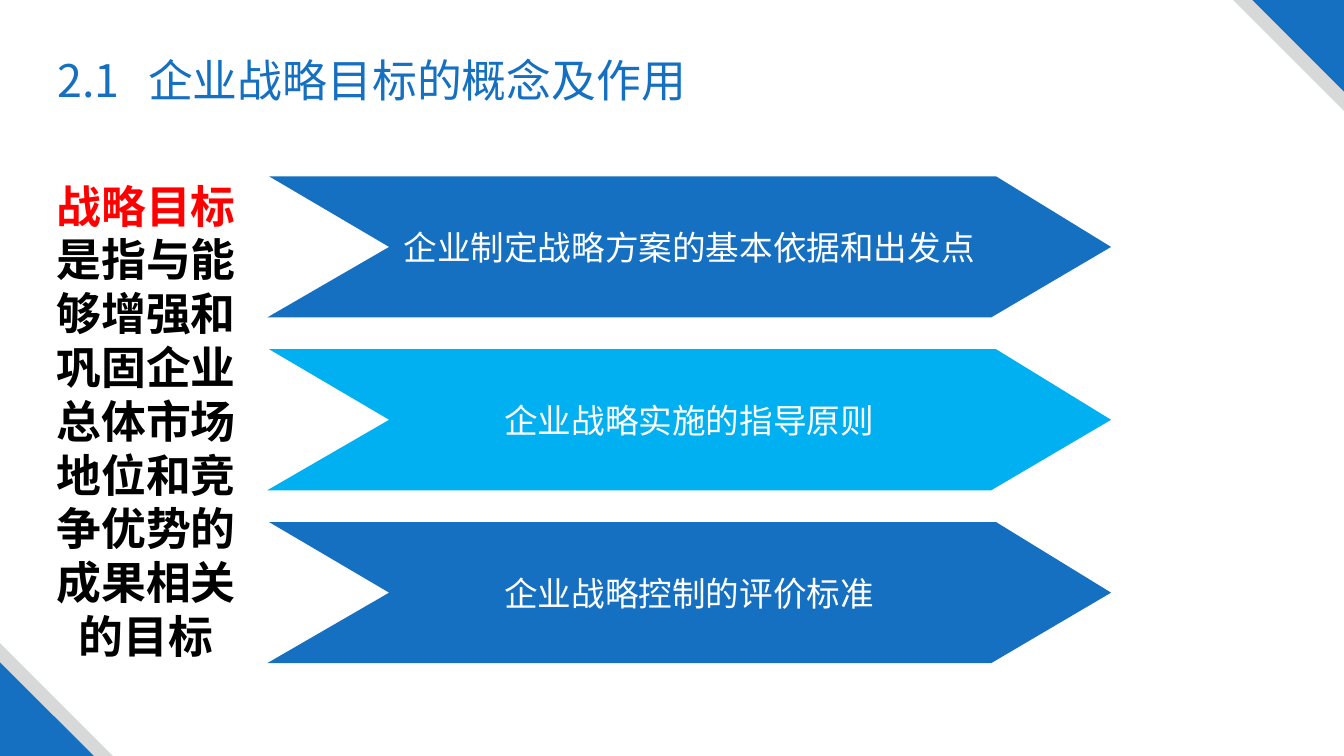
from pptx import Presentation
from pptx.dml.color import RGBColor
from pptx.enum.shapes import MSO_SHAPE
from pptx.enum.text import MSO_ANCHOR, PP_ALIGN
from pptx.oxml import parse_xml
from pptx.oxml.ns import nsdecls
from pptx.util import Inches, Pt

BLUE = RGBColor(0x15, 0x70, 0xC1)
CYAN = RGBColor(0x00, 0xB0, 0xF0)
GREY = RGBColor(0xD7, 0xD8, 0xD8)
RED = RGBColor(0xFF, 0, 0)
BLACK = RGBColor(0, 0, 0)
WHITE = RGBColor(0xFF, 0xFF, 0xFF)
SANS, LATIN = "Noto Sans CJK SC", "Calibri"
WIDE, HIGH = 13.33, 7.5

TITLE = "2.1\t企业战略目标的概念及作用"
CONCEPT = [
    ("战略目标", RED),
    ("是指与能够增强和巩固企业总体市场地位和竞争优势的成果相关的目标", BLACK),
]
ROLES = [
    ("企业制定战略方案的基本依据和出发点", BLUE),
    ("企业战略实施的指导原则", CYAN),
    ("企业战略控制的评价标准", BLUE),
]
# Colour, side at the top right, side at the bottom left
CORNERS = [(GREY, 1.1, 1.12), (BLUE, 0.91, 0.93)]

LEFT, TOP, PITCH = 2.65, 1.75, 1.715
ARROW = [(0.02, 0), (1.21, 0.7), (0, 1.4), (7.18, 1.4), (8.37, 0.7), (7.23, 0)]


def paint(shape, color):
    shape.shadow.inherit = False
    shape.fill.solid()
    shape.fill.fore_color.rgb = color
    shape.line.fill.background()


def write(para, text, face, color, **form):
    run = para.add_run()
    run.text = text
    for key, value in form.items():
        setattr(run.font, key, value)
    run.font.name = face
    run.font.color.rgb = color
    # East Asian glyphs take their line height from this face
    run.font.fill  # keeps the fill ahead of the typefaces
    latin = run.font._element.find("{*}latin")
    latin.addnext(parse_xml(f'<a:ea {nsdecls("a")} typeface="{face}"/>'))


def add_box(slide, *area):
    frame = slide.shapes.add_textbox(*map(Inches, area)).text_frame
    frame.word_wrap = True
    return frame.paragraphs[0]


def add_corner(slide, left, top, side, color, turn):
    shape = slide.shapes.add_shape(
        MSO_SHAPE.RIGHT_TRIANGLE, *map(Inches, (left, top, side, side)))
    shape.rotation = turn
    paint(shape, color)


def add_arrow(slide, row, text, color):
    top = TOP + row * PITCH
    start, *rest = [(Inches(LEFT + x), Inches(top + y)) for x, y in ARROW]
    form = slide.shapes.build_freeform(*start)
    form.add_line_segments(rest, close=True)
    shape = form.convert_to_shape()
    paint(shape, color)
    frame = shape.text_frame
    frame.word_wrap = True
    frame.vertical_anchor = MSO_ANCHOR.MIDDLE
    for side in ("left", "top", "right", "bottom"):
        setattr(frame, f"margin_{side}", 0)
    para = frame.paragraphs[0]
    para.alignment = PP_ALIGN.CENTER
    write(para, text, SANS, WHITE, size=Pt(24))


def main():
    deck = Presentation()
    deck.slide_width, deck.slide_height = Inches(WIDE), Inches(HIGH)
    slide = deck.slides.add_slide(deck.slide_layouts[6])

    for color, upper, lower in CORNERS:
        add_corner(slide, WIDE - upper, 0, upper, color, 180)
        add_corner(slide, 0, HIGH - lower, lower, color, 0)

    title = add_box(slide, 0.47, 0.47, 8.41, 0.64)
    title._p.get_or_add_pPr().append(parse_xml(
        f'<a:tabLst {nsdecls("a")}><a:tab pos="{Inches(0.9)}" algn="l"/></a:tabLst>'))
    write(title, TITLE, SANS, BLUE, size=Pt(32))

    for row, (text, color) in enumerate(ROLES):
        add_arrow(slide, row, text, color)

    concept = add_box(slide, 0.28, 1.72, 2.34, 4.95)
    concept.alignment = PP_ALIGN.CENTER
    for text, color in CONCEPT:
        write(concept, text, LATIN, color, size=Pt(32), bold=True)

    deck.save("out.pptx")


if __name__ == "__main__":
    main()
